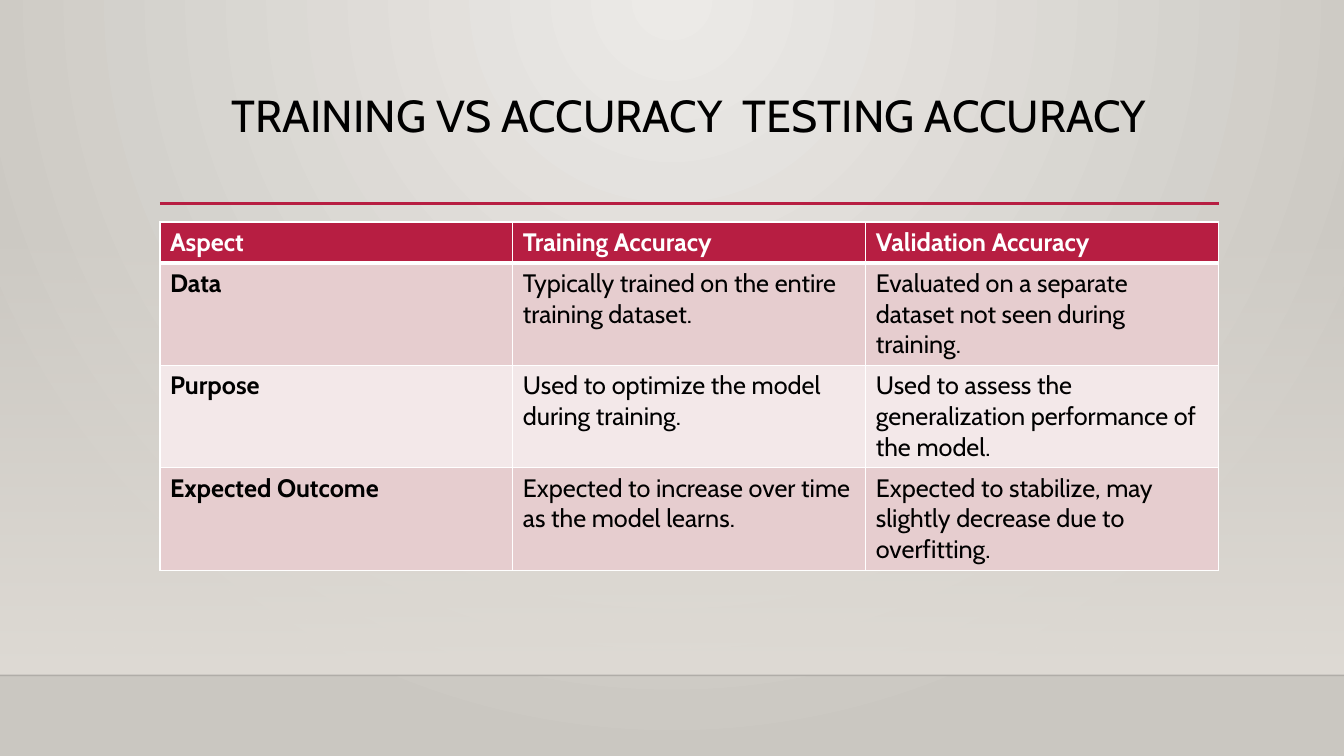
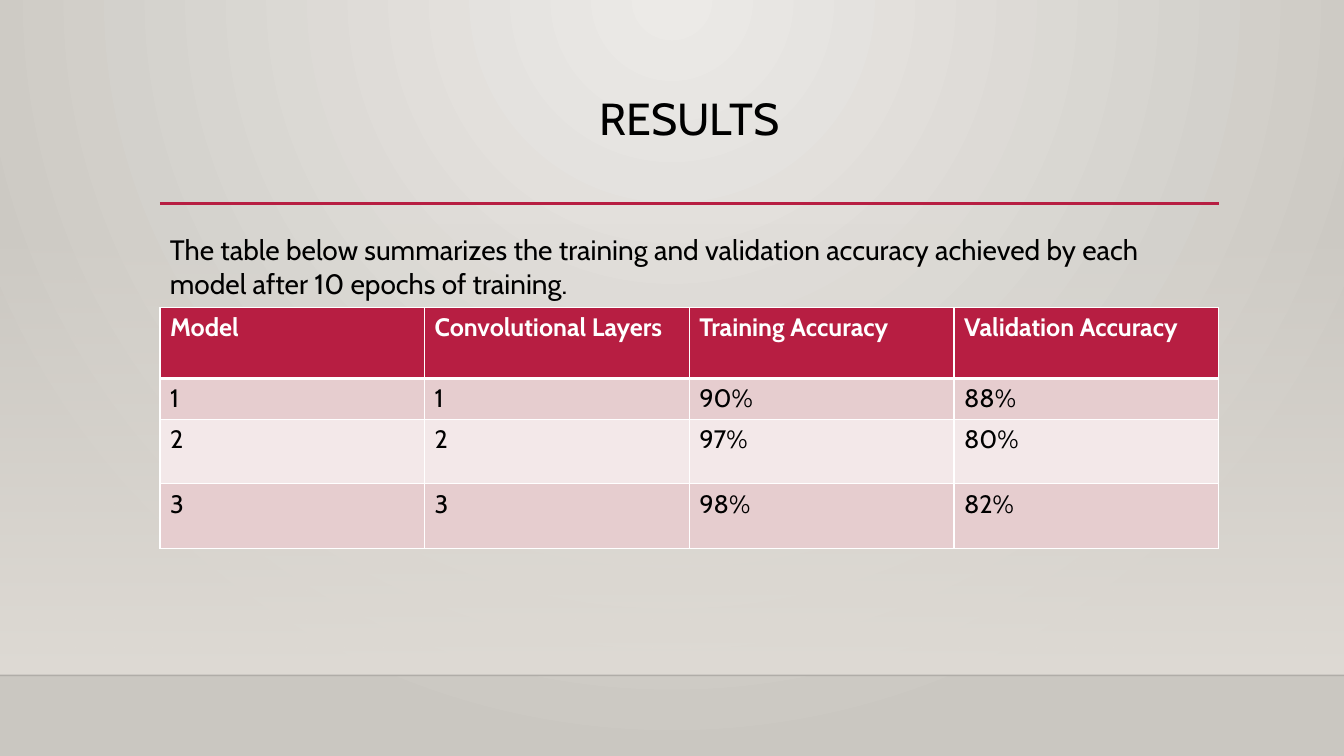
from lxml.etree import SubElement
from pptx import Presentation
from pptx.dml.color import RGBColor
from pptx.enum.shapes import MSO_CONNECTOR as Connector, MSO_SHAPE as Shape
from pptx.enum.text import MSO_ANCHOR as Anchor, MSO_AUTO_SIZE as AutoSize, PP_ALIGN as Align
from pptx.oxml.ns import qn
from pptx.util import Inches, Pt

FONT = "Cabin"
BLACK, WHITE, ACCENT = "000000", "FFFFFF", "B71E42"
BAND = "DFDBD5"
BACKDROP = ("ECEAE7", "CAC7C1")
ROW_FILLS = ("E6CDCF", "F3E8E9")
LEFT, WIDTH = 11.9, 78.78
RULE_ROW, FLOOR_ROW = 26.95, 89.33


def rgb(code):
    """Turn a hex string into a colour."""
    return RGBColor.from_string(code)


class Deck:
    """Hold the style and the current slide, on a grid of 100 columns by 100 rows."""

    def __init__(self):
        """Open a widescreen presentation with the shared backdrop."""
        self.prs = Presentation()
        self.prs.slide_width, self.prs.slide_height = Inches(13.33), Inches(7.5)
        self.slide = None
        self.backdrop()

    def col(self, count):
        """Give the length of a number of columns."""
        return round(self.prs.slide_width * count / 100)

    def row(self, count):
        """Give the length of a number of rows."""
        return round(self.prs.slide_height * count / 100)

    def box(self, left, top, width, height):
        """Give a place on the grid as lengths."""
        return self.col(left), self.row(top), self.col(width), self.row(height)

    def gradient(self, fill, colours):
        """Give a fill a gradient between two colours."""
        fill.gradient()
        for stop, colour in zip(fill.gradient_stops, colours):
            stop.color.rgb = rgb(colour)

    def fade(self, element, percent):
        """Set the opacity of the first colour in an element."""
        colour = next(element.iter(qn("a:srgbClr")))
        SubElement(colour, qn("a:alpha")).set("val", str(percent * 1000))

    def backdrop(self):
        """Light the master from the middle of its top edge."""
        master = self.prs.slide_master
        self.gradient(master.background.fill, BACKDROP)
        glow = next(master.element.iter(qn("a:gradFill")))
        glow.remove(glow.find(qn("a:lin")))
        circle = SubElement(glow, qn("a:path"))
        circle.set("path", "circle")
        focus = SubElement(circle, qn("a:fillToRect"))
        for side, share in zip("ltrb", (43, 0, 43, 100)):
            focus.set(side, str(share * 1000))

    def band(self):
        """Draw the wall that fades in down to the floor line."""
        top = 29.47
        wall = self.slide.shapes.add_shape(
            Shape.RECTANGLE, *self.box(0, top, 100, FLOOR_ROW - top))
        wall.shadow.inherit = False
        wall.line.fill.background()
        self.gradient(wall.fill, (BAND, BAND))
        wall.fill.gradient_angle = 270
        self.fade(wall.element.spPr, 0)

    def rule(self, left, width, row, colour, points):
        """Draw a horizontal line and return it."""
        line = self.slide.shapes.add_connector(
            Connector.STRAIGHT, self.col(left), self.row(row),
            self.col(left + width), self.row(row))
        line.line.color.rgb = rgb(colour)
        line.line.width = Pt(points)
        SubElement(line.element.spPr, qn("a:effectLst"))
        return line

    def style(self, paragraph, size, colour=BLACK, bold=False):
        """Set the font of a paragraph."""
        font = paragraph.font
        font.name, font.size, font.bold = FONT, Pt(size), bold
        font.color.rgb = rgb(colour)

    def page(self, heading, top):
        """Start a slide with its band, lines and title."""
        self.slide = self.prs.slides.add_slide(self.prs.slide_layouts[5])
        self.band()
        floor = self.rule(0, 100, FLOOR_ROW, BLACK, 1)
        self.fade(floor.element.spPr, 20)
        self.rule(LEFT, WIDTH, RULE_ROW, ACCENT, 2.5)
        title = self.slide.shapes.title
        title.left, title.top, title.width, title.height = self.box(
            LEFT, top, WIDTH, 27.05 - top)
        frame = title.text_frame
        frame.text = heading
        frame.word_wrap = True
        frame.auto_size = AutoSize.NONE
        frame.vertical_anchor = Anchor.TOP
        paragraph = frame.paragraphs[0]
        paragraph.alignment, paragraph.line_spacing = Align.CENTER, 0.9
        self.style(paragraph, 32)

    def text(self, words, top, height):
        """Add a paragraph across the content width."""
        frame = self.slide.shapes.add_textbox(
            *self.box(LEFT, top, WIDTH, height)).text_frame
        frame.word_wrap = True
        frame.text = words
        self.style(frame.paragraphs[0], 20)

    def borders(self, cell, top, bottom):
        """Give a cell white borders of set widths in points."""
        props = cell._tc.get_or_add_tcPr()
        for side, points in zip("LRTB", (1, 1, top, bottom)):
            edge = SubElement(props, qn(f"a:ln{side}"))
            edge.set("w", str(Pt(points)))
            fill = SubElement(edge, qn("a:solidFill"))
            SubElement(fill, qn("a:srgbClr")).set("val", WHITE)

    def table(self, records, top, heights, bold_labels=False):
        """Add a table with a header row and alternating fills."""
        grid = self.slide.shapes.add_table(
            len(records), len(records[0]),
            *self.box(LEFT, top, WIDTH, sum(heights))).table
        for r, (record, height) in enumerate(zip(records, heights)):
            grid.rows[r].height = self.row(height)
            header = r == 0
            for c, words in enumerate(record):
                cell = grid.cell(r, c)
                cell.text = words
                self.borders(cell, 3 if r == 1 else 1, 3 if header else 1)
                cell.fill.solid()
                cell.fill.fore_color.rgb = rgb(ACCENT if header else ROW_FILLS[(r - 1) % 2])
                self.style(cell.text_frame.paragraphs[0], 18,
                           WHITE if header else BLACK,
                           header or (bold_labels and c == 0))


def main():
    """Build the slides and save them."""
    deck = Deck()

    deck.page("TRAINING VS ACCURACY  TESTING ACCURACY", 11.73)
    aspects = [
        ("Aspect", "Training Accuracy", "Validation Accuracy"),
        ("Data", "Typically trained on the entire training dataset.",
         "Evaluated on a separate dataset not seen during training."),
        ("Purpose", "Used to optimize the model during training.",
         "Used to assess the generalization performance of the model."),
        ("Expected Outcome", "Expected to increase over time as the model learns.",
         "Expected to stabilize, may slightly decrease due to overfitting."),
    ]
    deck.table(aspects, 29.37, [5.4] + [13.55] * 3, bold_labels=True)

    deck.page("RESULTS", 12.13)
    results = [
        ("Model", "Convolutional Layers", "Training Accuracy", "Validation Accuracy"),
        ("1", "1", "90%", "88%"),
        ("2", "2", "97%", "80%"),
        ("3", "3", "98%", "82%"),
    ]
    deck.table(results, 40.67, [9.4, 5.33, 8.53, 8.53])
    deck.text("The table below summarizes the training and validation accuracy "
              "achieved by each model after 10 epochs of training.", 30.13, 10.27)

    deck.prs.save("out.pptx")


if __name__ == "__main__":
    main()
